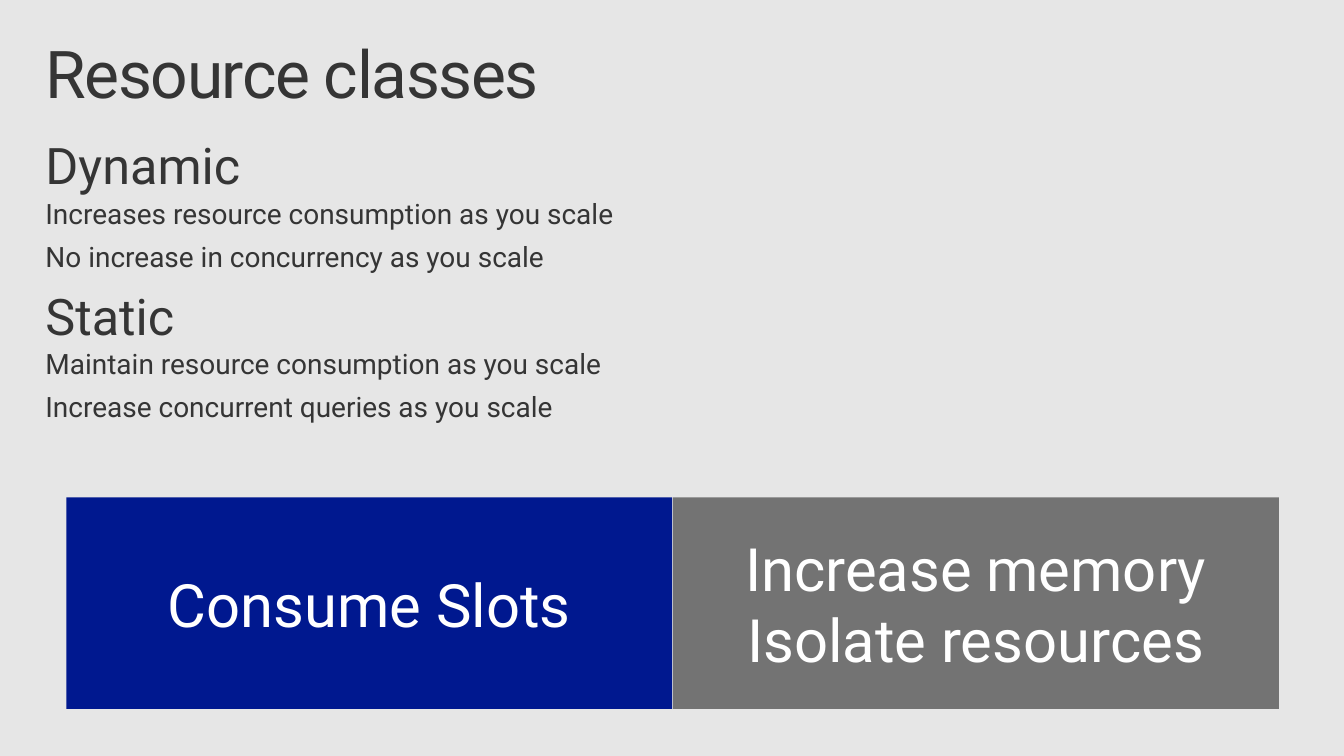
from dataclasses import dataclass

from pptx import Presentation
from pptx.dml.color import RGBColor
from pptx.enum.shapes import MSO_SHAPE
from pptx.enum.text import MSO_ANCHOR, PP_ALIGN
from pptx.util import Pt

RECT = MSO_SHAPE.RECTANGLE
MIDDLE = MSO_ANCHOR.MIDDLE
CENTER = PP_ALIGN.CENTER


@dataclass
class Theme:
    font: str = "Roboto"
    back: str = "E6E6E6"
    ink: str = "353535"
    white: str = "FFFFFF"
    blue: str = "00188F"
    gray: str = "737373"
    title: float = 48
    head: float = 36.7
    body: float = 20.4
    tile: float = 43.5


class Deck:
    def __init__(self, theme, width, height):
        self.theme = theme
        self.file = Presentation()
        self.file.slide_width, self.file.slide_height = Pt(width), Pt(height)
        self.slide = self.file.slides.add_slide(self.file.slide_layouts[6])
        fill = self.slide.background.fill
        fill.solid()
        fill.fore_color.rgb = RGBColor.from_string(theme.back)

    def run(self, para, text, size, color, track=0):
        run = para.add_run()
        run.text = text
        run.font.name = self.theme.font
        run.font.size = Pt(size)
        run.font.color.rgb = RGBColor.from_string(color)
        if track:
            run.font._element.set("spc", str(track * 100))

    def text(self, left, top, width, height, lines, track=0):
        """Each line is (text, size, space before, space after)."""
        box = self.slide.shapes.add_textbox(Pt(left), Pt(top), Pt(width), Pt(height))
        frame = box.text_frame
        frame.word_wrap = True
        frame.margin_left = frame.margin_right = Pt(11.5)
        frame.margin_top = frame.margin_bottom = Pt(7.2)
        for i, (words, size, before, after) in enumerate(lines):
            para = frame.add_paragraph() if i else frame.paragraphs[0]
            para.line_spacing = 0.9
            para.space_before = Pt(before if i else 0)
            para.space_after = Pt(after)
            self.run(para, words, size, self.theme.ink, track)

    def tile(self, left, top, width, height, color, lines):
        box = self.slide.shapes.add_shape(RECT, Pt(left), Pt(top), Pt(width), Pt(height))
        box.shadow.inherit = False
        box.fill.solid()
        box.fill.fore_color.rgb = RGBColor.from_string(color)
        box.line.fill.background()
        frame = box.text_frame
        frame.word_wrap = True
        frame.vertical_anchor = MIDDLE
        for i, words in enumerate(lines):
            para = frame.add_paragraph() if i else frame.paragraphs[0]
            para.alignment = CENTER
            self.run(para, words, self.theme.tile, self.theme.white)


def main():
    theme = Theme()
    deck = Deck(theme, 979.2, 550.8)

    # Title
    deck.text(21.6, 23, 936, 72, [("Resource classes", theme.title, 0, 0)], track=-1)

    # Two kinds of class, each with its points
    kinds = {
        "Dynamic": ["Increases resource consumption as you scale",
                    "No increase in concurrency as you scale"],
        "Static": ["Maintain resource consumption as you scale",
                   "Increase concurrent queries as you scale"],
    }
    lines = []
    for kind, points in kinds.items():
        lines.append((kind, theme.head, theme.head * 0.2, 0))
        lines += [(point, theme.body, 3.1, 6.1) for point in points]
    deck.text(21.6, 95.8, 936, 222.5, lines)

    # Tiles side by side
    tiles = [(theme.blue, ["Consume Slots"]),
             (theme.gray, ["Increase memory", "Isolate resources"])]
    width, gap = 441.4, 0.5
    for i, (color, words) in enumerate(tiles):
        deck.tile(48.4 + i * (width + gap), 362.4, width, 154, color, words)

    deck.file.save("out.pptx")


if __name__ == "__main__":
    main()
